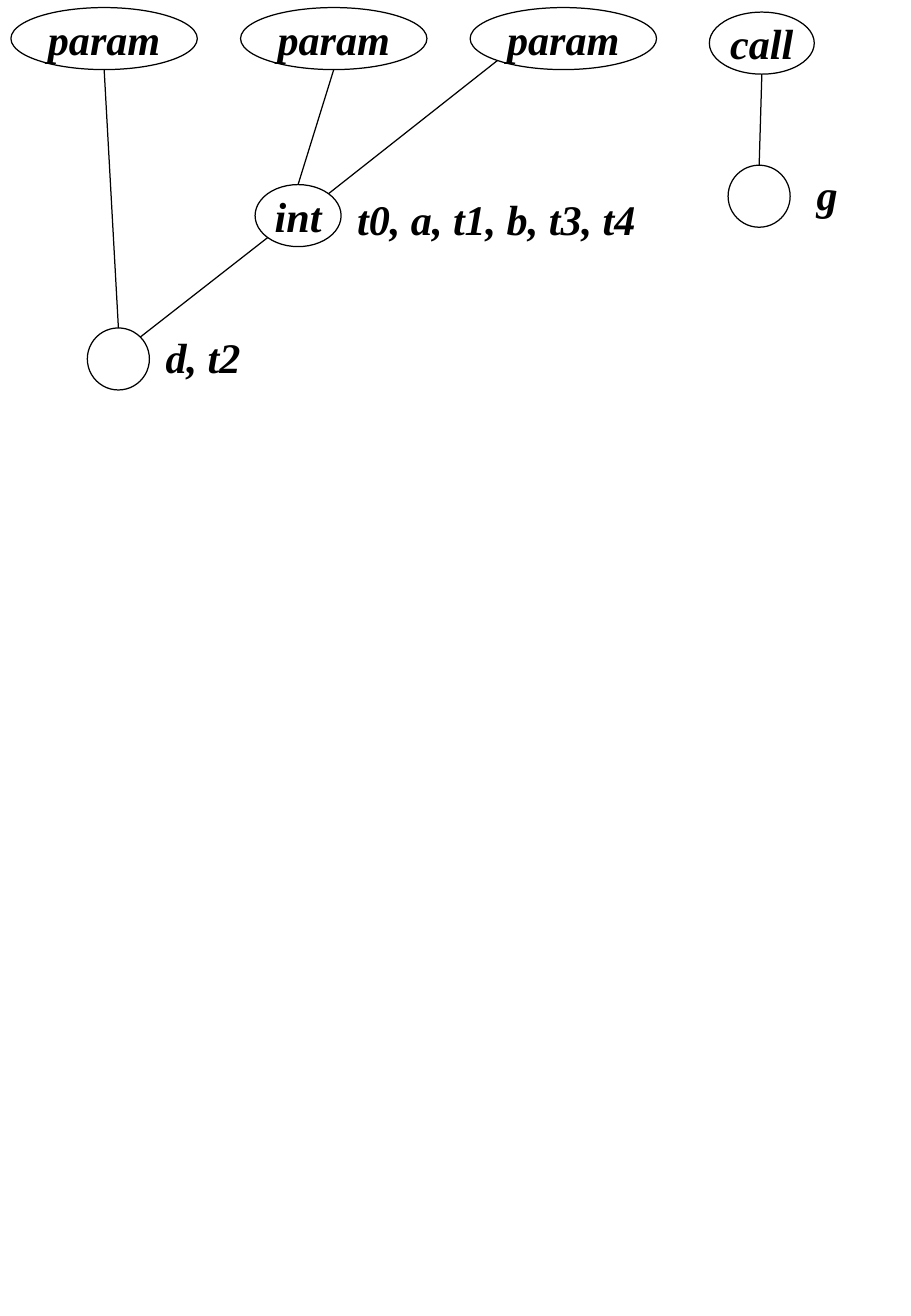
from math import sqrt

from lxml import etree
from pptx import Presentation
from pptx.dml.color import RGBColor
from pptx.enum import shapes, text
from pptx.oxml.ns import qn
from pptx.util import Pt

COLORS = {"ink": "000000"}
INK = RGBColor.from_string(COLORS["ink"])
FONT = {"name": "Times New Roman", "size": Pt(25), "bold": True, "italic": True}
NODE_HEIGHT = 36.8
LABEL_HEIGHT = 33.9

deck = Presentation()
deck.slide_width, deck.slide_height = Pt(540), Pt(780.48)
deck.element.sldSz.attrib.pop("type", None)  # the page is not a 4:3 screen
page = deck.slides.add_slide(deck.slide_layouts[6])


def add_box(kind, bounds, words, align, inset):
    box = page.shapes.add_shape(kind, *(Pt(length) for length in bounds))
    box.shadow.inherit = False
    box.fill.background()
    box.line.fill.background()
    frame_format = {
        "word_wrap": False,
        "vertical_anchor": text.MSO_ANCHOR.MIDDLE,
        "margin_left": Pt(inset), "margin_right": Pt(inset),
        "margin_top": Pt(3.6), "margin_bottom": Pt(3.6),
    }
    for name, value in frame_format.items():
        setattr(box.text_frame, name, value)
    if words:
        para = box.text_frame.paragraphs[0]
        para.alignment = align
        span = para.add_run()
        span.text = words
        for name, value in FONT.items():
            setattr(span.font, name, value)
        span.font.color.rgb = INK
    return box


def rim_point(bounds, across, down):
    """Point where the direction (across, down) meets a node's ellipse."""
    left, top, width, height = bounds
    reach = sqrt(across ** 2 + down ** 2)
    return (Pt(left + width / 2 * (1 + across / reach)),
            Pt(top + height / 2 * (1 + down / reach)))


# Graph nodes: name -> (text, left, top, width)
nodes = {f"param{i}": ("param", 6.5 + 136.1 * i, 4.5, 110.5) for i in range(3)}
nodes |= {
    "call": ("call", 420.5, 7.2, 62.2),
    "int": ("int", 151.2, 109.5, 51),
    "d": ("", 51.8, 194.5, NODE_HEIGHT),
    "g": ("", 431.6, 98, NODE_HEIGHT),
}
bounds = {}
for name, (words, left, top, width) in nodes.items():
    bounds[name] = (left, top, width, NODE_HEIGHT)
    node = add_box(shapes.MSO_SHAPE.OVAL, bounds[name], words,
                   text.PP_ALIGN.CENTER, 7.2)
    node.line.color.rgb = INK
    node.line.width = Pt(0.75)

# Variables held by a node: (text, left, top, width)
labels = [
    ("t0, a, t1, b, t3, t4", 202.2, 112.5, 187.2),
    ("g", 474.5, 98.2, 39.6),
    ("d, t2", 88.6, 194.5, 61.9),
]
for words, left, top, width in labels:
    add_box(shapes.MSO_SHAPE.ROUNDED_RECTANGLE, (left, top, width, LABEL_HEIGHT),
            words, text.PP_ALIGN.LEFT, 7.9)

# Edges run from the lower rim of a parent to the upper rim of a child,
# with the sideways lean of the parent's end: 0 is straight down, -1 down-left
edges = [
    ("param0", "d", 0),
    ("param1", "int", 0),
    ("param2", "int", -1),
    ("int", "d", -1),
    ("call", "g", 0),
]
for parent, child, lean in edges:
    edge = page.shapes.add_connector(
        shapes.MSO_CONNECTOR.STRAIGHT,
        *rim_point(bounds[parent], lean, 1),
        *rim_point(bounds[child], -lean, -1))
    edge.line.color.rgb = INK
    edge.line.width = Pt(0.75)
    etree.SubElement(edge._element.spPr, qn("a:effectLst"))

deck.save("out.pptx")
